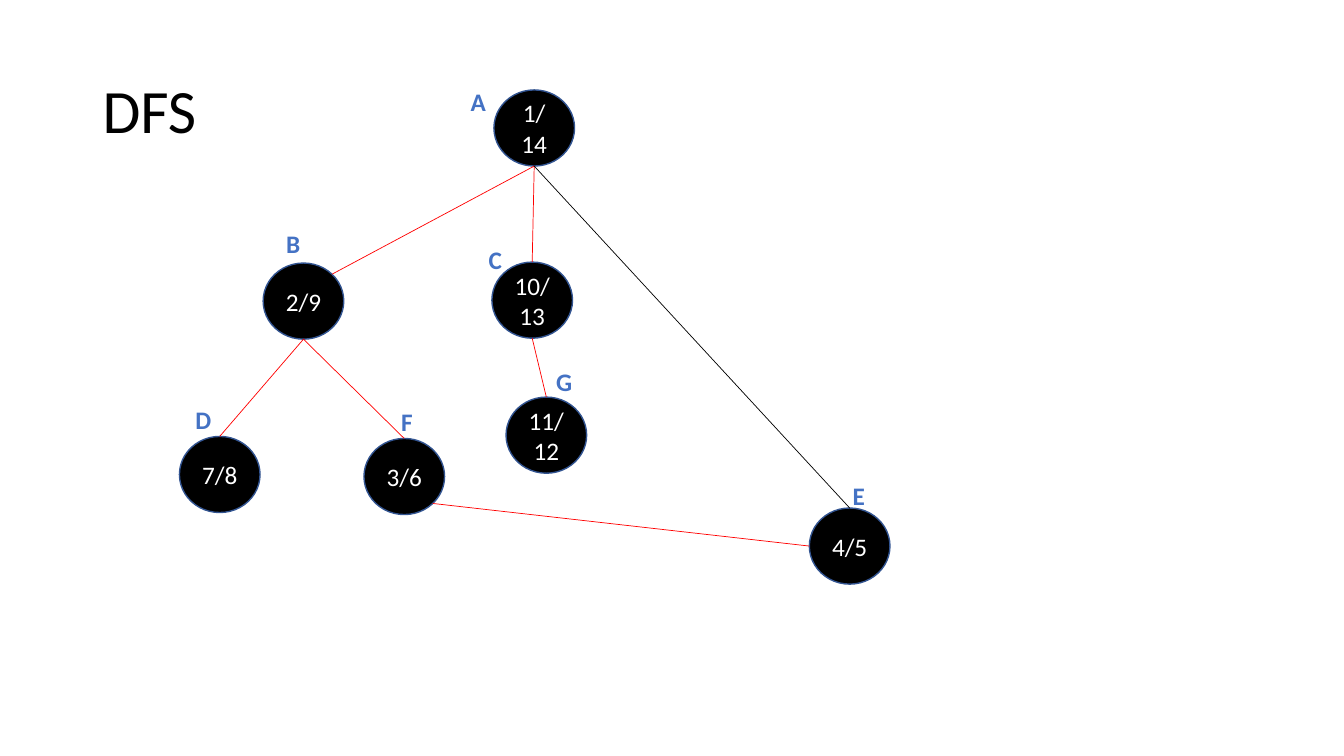
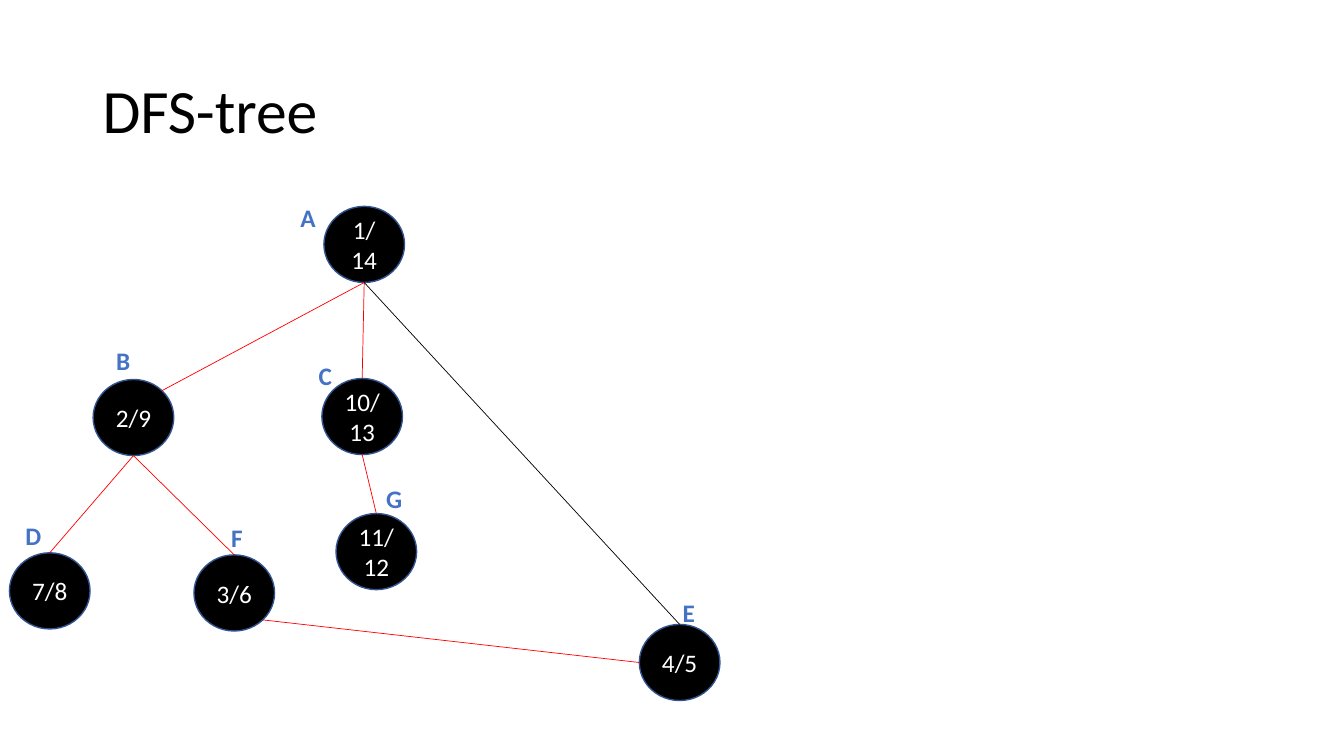
from math import cos, radians, sin

from lxml import etree
from pptx import Presentation
from pptx.dml.color import RGBColor
from pptx.enum.shapes import MSO_CONNECTOR, MSO_SHAPE
from pptx.enum.text import MSO_ANCHOR, MSO_AUTO_SIZE, PP_ALIGN
from pptx.oxml.ns import qn
from pptx.util import Inches, Pt

OVAL = MSO_SHAPE.OVAL
STRAIGHT = MSO_CONNECTOR.STRAIGHT
LEFT, CENTER = PP_ALIGN.LEFT, PP_ALIGN.CENTER
MIDDLE = MSO_ANCHOR.MIDDLE
GROW = MSO_AUTO_SIZE.SHAPE_TO_FIT_TEXT

TITLE_ONLY = 5
COLUMNS, ROWS = 100, 100
FONT = "Calibri"
COLORS = {
    "ink": "000000",
    "paper": "FFFFFF",
    "outline": "325491",
    "tree": "FF0000",
    "back": "000000",
    "label": "4472C4",
}
VERTEX_SIZE = (6, 10.07)
LABEL_SIZE = (5.85, 5.33)
ANGLES = {"lower right": 45, "bottom": 90, "left": 180,
          "top": 270, "upper right": 315}

VERTICES = {
    "A": ("1/\n14", (36.75, 11.9), (-2.48, -1.2)),
    "B": ("2/9", (19.58, 34.8), (0.98, -5.2)),
    "C": ("10/13", (36.6, 34.67), (-0.98, -3.07)),
    "E": ("4/5", (60.22, 67.2), (2.48, -4.27)),
    "D": ("7/8", (13.35, 57.73), (0.45, -4.93)),
    "F": ("3/6", (27.08, 58), (2.02, -4.93)),
    "G": ("11/12", (37.65, 52.53), (3, -4.67)),
}
EDGES = [
    ("A", "bottom", "C", "top", "tree"),
    ("A", "bottom", "B", "upper right", "tree"),
    ("B", "bottom", "D", "top", "tree"),
    ("B", "bottom", "F", "top", "tree"),
    ("C", "bottom", "G", "top", "tree"),
    ("F", "lower right", "E", "left", "tree"),
    ("A", "bottom", "E", "top", "back"),
]
SLIDES = [("DFS", (0, 0)), ("DFS-tree", (-12.65, 15.4))]


def moved(point, offset):
    return point[0] + offset[0], point[1] + offset[1]


def port(corner, side):
    angle = radians(ANGLES[side])
    width, height = VERTEX_SIZE
    return moved(corner, (width / 2 * (1 + cos(angle)),
                          height / 2 * (1 + sin(angle))))


class Deck:
    def __init__(self):
        self.presentation = Presentation()
        self.presentation.slide_width = Inches(13.33)
        self.presentation.slide_height = Inches(7.5)
        self.column = self.presentation.slide_width / COLUMNS
        self.row = self.presentation.slide_height / ROWS
        self.slide = None

    def grid(self, *pairs):
        return [round(value * unit) for pair in pairs
                for value, unit in zip(pair, (self.column, self.row))]

    def color(self, name):
        return RGBColor.from_string(COLORS[name])

    def set_text(self, frame, text, size, color, align, bold=False):
        frame.text = text
        for paragraph in frame.paragraphs:
            paragraph.alignment = align
            paragraph.font.name = FONT
            paragraph.font.size = Pt(size)
            paragraph.font.bold = bold
            paragraph.font.color.rgb = self.color(color)

    def add_slide(self, heading):
        layout = self.presentation.slide_layouts[TITLE_ONLY]
        self.slide = self.presentation.slides.add_slide(layout)
        title = self.slide.shapes.title
        title.left, title.top, title.width, title.height = self.grid(
            (6.88, 5.33), (86.25, 19.33))
        self.set_text(title.text_frame, heading, 44, "ink", LEFT)
        title.text_frame.vertical_anchor = MIDDLE
        title.text_frame.paragraphs[0].line_spacing = 0.9

    def vertex(self, times, corner):
        oval = self.slide.shapes.add_shape(
            OVAL, *self.grid(corner, VERTEX_SIZE))
        oval.shadow.inherit = False
        oval.fill.solid()
        oval.fill.fore_color.rgb = self.color("ink")
        oval.line.color.rgb = self.color("outline")
        oval.line.width = Pt(1)
        oval.text_frame.vertical_anchor = MIDDLE
        self.set_text(oval.text_frame, times, 18, "paper", CENTER)

    def edge(self, start, end, color):
        edge = self.slide.shapes.add_connector(
            STRAIGHT, *self.grid(start, end))
        edge.line.color.rgb = self.color(color)
        edge.line.width = Pt(0.5)
        etree.SubElement(edge._element.spPr, qn("a:effectLst"))

    def label(self, letter, corner):
        label = self.slide.shapes.add_textbox(*self.grid(corner, LABEL_SIZE))
        label.text_frame.word_wrap = True
        label.text_frame.auto_size = GROW
        self.set_text(label.text_frame, letter, 18, "label", LEFT, bold=True)

    def graph(self, shift):
        corners = {letter: moved(corner, shift)
                   for letter, (_, corner, _) in VERTICES.items()}
        for letter, (times, _, _) in VERTICES.items():
            self.vertex(times, corners[letter])
        for parent, exit_side, child, entry_side, color in EDGES:
            self.edge(port(corners[parent], exit_side),
                      port(corners[child], entry_side), color)
        for letter, (_, _, offset) in VERTICES.items():
            self.label(letter, moved(corners[letter], offset))


def main():
    deck = Deck()
    for heading, shift in SLIDES:
        deck.add_slide(heading)
        deck.graph(shift)
    deck.presentation.save("out.pptx")


if __name__ == "__main__":
    main()
